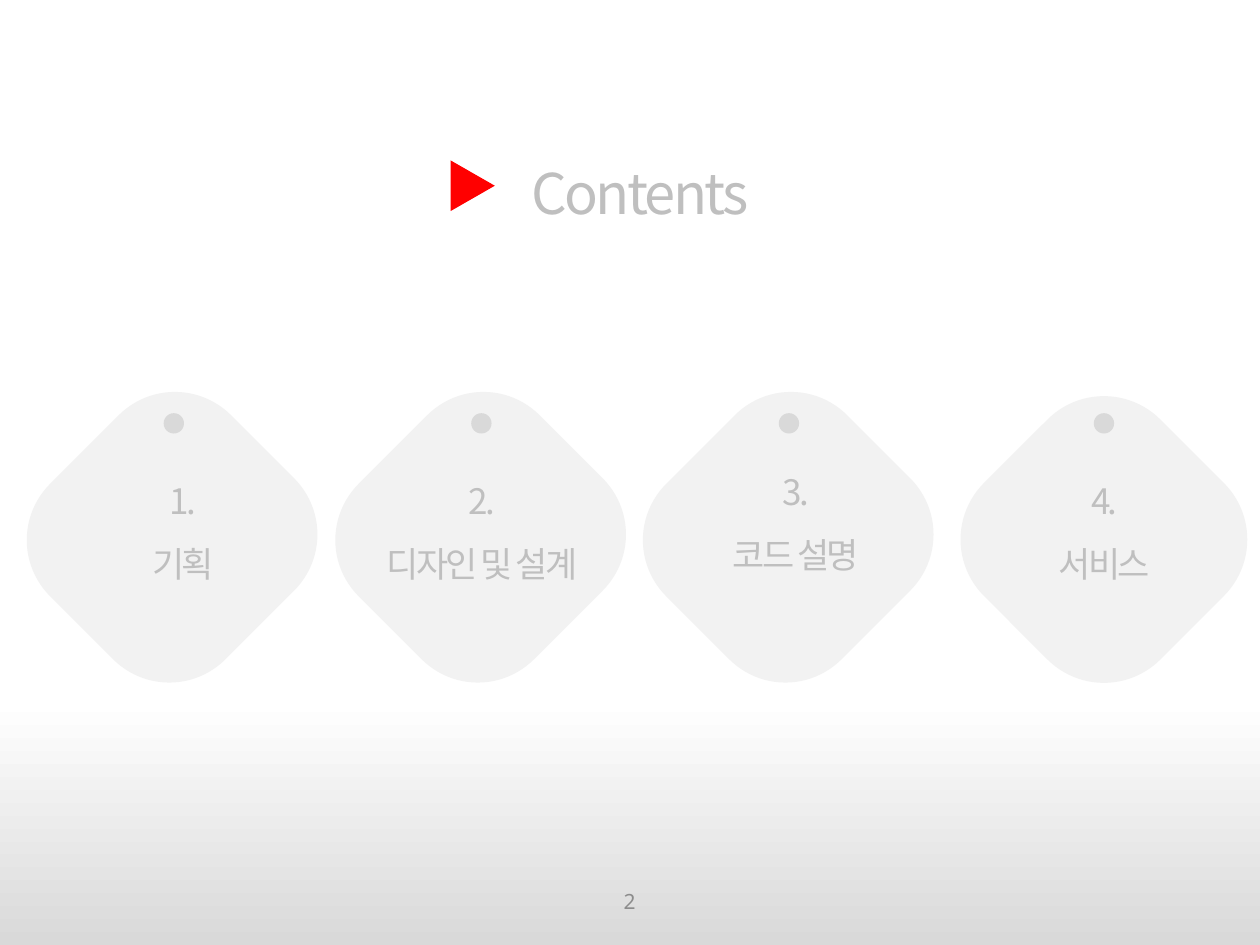
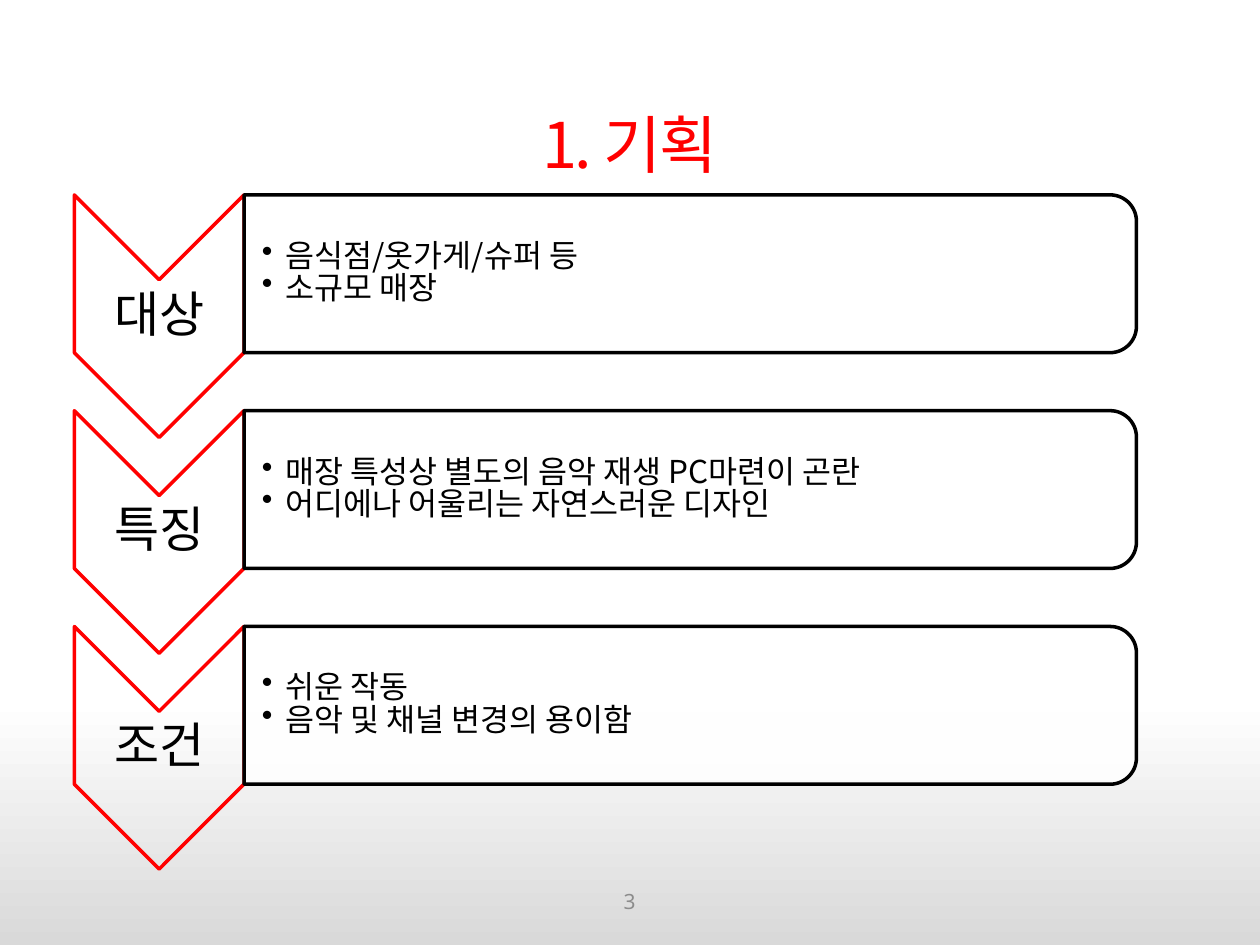
import copy
import math

from lxml import etree
from pptx import Presentation
from pptx.dml.color import RGBColor
from pptx.enum.shapes import MSO_SHAPE
from pptx.enum.text import MSO_ANCHOR, MSO_AUTO_SIZE, PP_ALIGN
from pptx.oxml.ns import qn
from pptx.util import Cm, Pt

CENTER, LEFT = PP_ALIGN.CENTER, PP_ALIGN.LEFT
MIDDLE = MSO_ANCHOR.MIDDLE
NO_AUTOFIT = MSO_AUTO_SIZE.NONE
ROUNDED, OVAL, TRIANGLE = MSO_SHAPE.ROUNDED_RECTANGLE, MSO_SHAPE.OVAL, MSO_SHAPE.ISOSCELES_TRIANGLE

WHITE = RGBColor(0xFF, 0xFF, 0xFF)
BLACK = RGBColor(0x00, 0x00, 0x00)
RED = RGBColor(0xFF, 0x00, 0x00)
TAG_GRAY = RGBColor(0xF2, 0xF2, 0xF2)
DOT_GRAY = RGBColor(0xD9, 0xD9, 0xD9)
TEXT_GRAY = RGBColor(0xBF, 0xBF, 0xBF)
NUMBER_GRAY = RGBColor(0x8C, 0x8C, 0x8C)
KOREAN_FONT = "Noto Sans CJK KR"
NUMBER_FONT = "Noto Sans"


def write_text(shape, lines, size, color, font=KOREAN_FONT, align=CENTER,
               spacing=1.0, tracking=0, wrap=True, bullet=False):
    frame = shape.text_frame
    frame.text = "\n".join(lines)
    frame.auto_size = NO_AUTOFIT
    frame.word_wrap = wrap
    frame.vertical_anchor = MIDDLE
    for paragraph in frame.paragraphs:
        paragraph.alignment = align
        paragraph.line_spacing = spacing
        properties = paragraph._p.get_or_add_pPr()
        if bullet:
            properties.set("marL", str(Cm(0.48)))
            properties.set("indent", str(-Cm(0.48)))
            etree.SubElement(properties, qn("a:buChar"), char="•")
        paragraph.font.name = font
        paragraph.font.size = Pt(size)
        paragraph.font.color.rgb = color
        defaults = properties.find(qn("a:defRPr"))
        defaults.set("spc", str(tracking))
        etree.SubElement(defaults, qn("a:ea"), typeface=font)


def add_outline(slide, points, line_color):
    builder = slide.shapes.build_freeform(*points[0])
    builder.add_line_segments(points[1:], close=True)
    shape = builder.convert_to_shape()
    shape.shadow.inherit = False
    shape.fill.background()
    shape.line.color.rgb = line_color
    shape.line.width = Pt(2)
    return shape


presentation = Presentation()
presentation.slide_width = Cm(25.4)
presentation.slide_height = Cm(19.05)

master = presentation.slide_master
background = master.background.fill
background.gradient()
background.gradient_angle = 270
for stop, position, color in zip(background.gradient_stops, (0.74, 1), (WHITE, DOT_GRAY)):
    stop.position = position
    stop.color.rgb = color
stops = master.element.find(".//" + qn("a:gsLst"))
stops.insert(0, copy.deepcopy(stops[0]))
stops[0].set("pos", "0")

slides = []
for number, title, left, top, size, color in (
    ("2", "Contents", 2.11, 1.93, 32, TEXT_GRAY),
    ("3", "1. 기획", 1.9, 0.91, 36, RED),
):
    slide = presentation.slides.add_slide(presentation.slide_layouts[5])
    heading = slide.shapes.title
    heading.left, heading.top = Cm(left), Cm(top)
    heading.width, heading.height = Cm(21.59), Cm(3.2)
    write_text(heading, [title], size, color, spacing=1.5, tracking=-150, wrap=False)
    page_number = slide.shapes.add_textbox(Cm(9.73), Cm(17.65), Cm(5.93), Cm(1.02))
    write_text(page_number, [number], 12, NUMBER_GRAY, font=NUMBER_FONT)
    slides.append(slide)
contents_slide, planning_slide = slides

cards = [
    (["1.", "기획"], (0.89, 8.33, 5.16, 5), 3.3, (1.09, 9.12)),
    (["2.", "디자인 및 설계"], (7.11, 8.33, 5.16, 5), 9.5, (7.11, 9.12)),
    (["3.", "코드 설명"], (13.31, 8.33, 5.16, 5), 15.7, (13.44, 8.94)),
    (["4.", "서비스"], (19.74, 8.36, 5.03, 5.03), 22.05, (19.66, 9.12)),
]
decorations = [(TRIANGLE, (9.02, 3.3, 1.02, 0.89), 90, RED)]
for lines, tag_box, dot_left, label_position in cards:
    decorations.append((ROUNDED, tag_box, 315, TAG_GRAY))
    decorations.append((OVAL, (dot_left, 8.33, 0.41, 0.41), 0, DOT_GRAY))
for kind, box, rotation, color in decorations:
    shape = contents_slide.shapes.add_shape(kind, *map(Cm, box))
    shape.rotation = rotation
    shape.shadow.inherit = False
    shape.fill.solid()
    shape.fill.fore_color.rgb = color
    shape.line.fill.background()
    if kind == ROUNDED:
        shape.adjustments[0] = 0.32
for lines, tag_box, dot_left, label_position in cards:
    label = contents_slide.shapes.add_textbox(*map(Cm, label_position), Cm(5.21), Cm(2.79))
    write_text(label, lines, 20, TEXT_GRAY, spacing=1.5, tracking=-150, wrap=False)

sections = [
    ("대상", ["음식점/옷가게/슈퍼 등", "소규모 매장"]),
    ("특징", ["매장 특성상 별도의 음악 재생 PC마련이 곤란", "어디에나 어울리는 자연스러운 디자인"]),
    ("조건", ["쉬운 작동", "음악 및 채널 변경의 용이함"]),
]
left, middle, inner, right = Cm(1.5), Cm(3.21), Cm(4.92), Cm(22.91)
panel_height, notch, radius = Cm(3.18), Cm(1.71), Cm(0.53)
arc = [math.radians(degrees) for degrees in range(0, 91, 6)]
for row, (name, items) in enumerate(sections):
    top = Cm(3.93 + 4.35 * row)
    bottom = top + panel_height
    chevron = add_outline(planning_slide, [
        (inner, top), (inner, bottom), (middle, bottom + notch),
        (left, bottom), (left, top), (middle, top + notch),
    ], RED)
    frame = chevron.text_frame
    frame.margin_left = frame.margin_right = Cm(0.05)
    frame.margin_top = frame.margin_bottom = Cm(1.75)
    write_text(chevron, [name], 28, BLACK, spacing=0.9)

    center = right - radius
    upper = [(center + radius * math.sin(angle), top + radius - radius * math.cos(angle)) for angle in arc]
    lower = [(center + radius * math.cos(angle), bottom - radius + radius * math.sin(angle)) for angle in arc]
    panel = add_outline(planning_slide, [(inner, top), *upper, *lower, (inner, bottom)], BLACK)
    panel.fill.solid()
    panel.fill.fore_color.rgb = WHITE
    fill_color = panel.element.spPr.find(qn("a:solidFill"))[0]
    etree.SubElement(fill_color, qn("a:alpha"), val="90000")
    frame = panel.text_frame
    frame.margin_left = Cm(0.36)
    frame.margin_right = frame.margin_top = frame.margin_bottom = Cm(0.18)
    write_text(panel, items, 18, BLACK, align=LEFT, spacing=0.85, bullet=True)

presentation.save("out.pptx")
